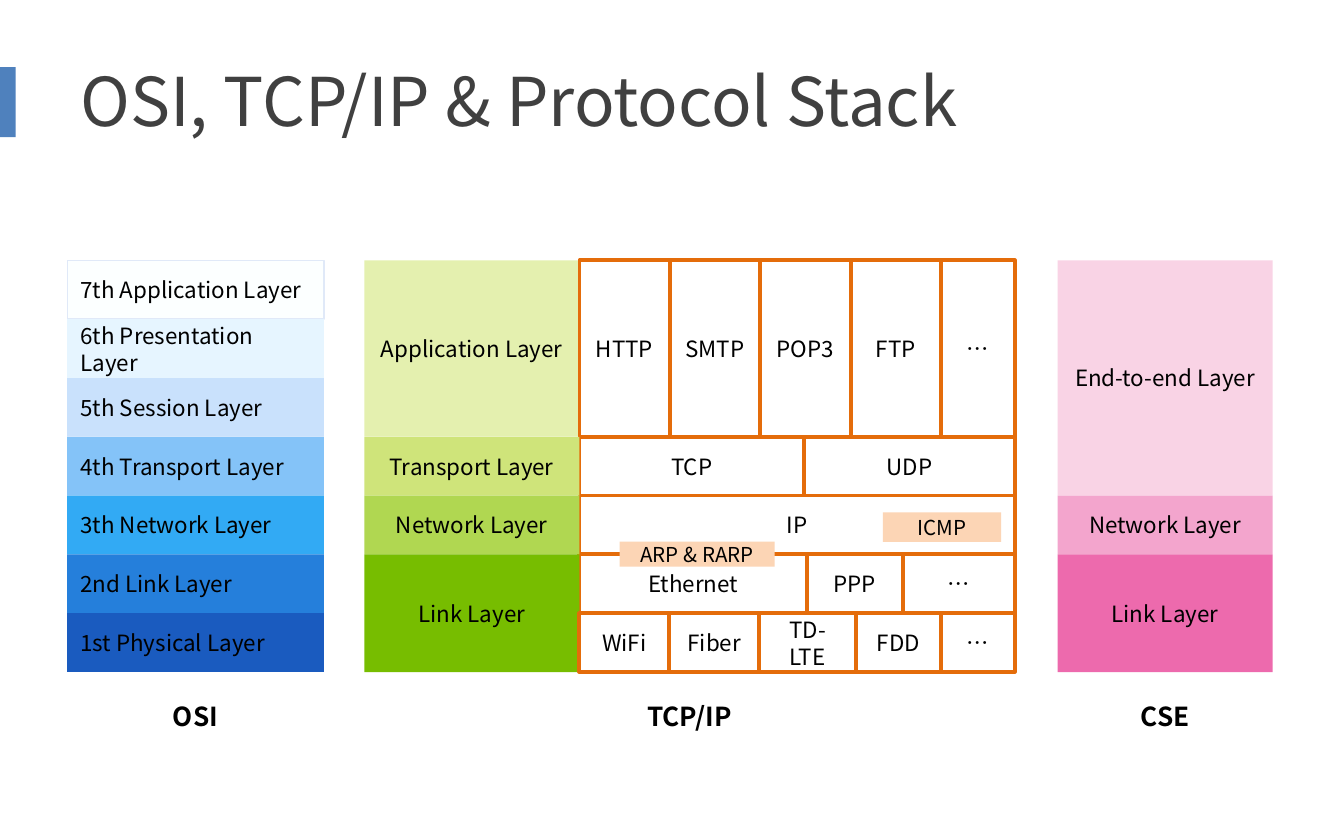
"""Build a slide comparing the OSI, TCP/IP and CSE protocol stacks."""
from dataclasses import dataclass
from itertools import pairwise
from typing import Optional

from pptx import Presentation
from pptx import util as u
from pptx.dml.color import RGBColor
from pptx.enum import shapes, text


@dataclass(frozen=True)
class Theme:
    font: str = "Noto Sans CJK SC"
    ink: str = "000000"
    title_ink: str = "404040"
    accent: str = "4F81BD"
    paper: str = "FFFFFF"
    protocol_line: str = "E46C0A"
    badge: str = "FCD5B5"
    top_layer_line: str = "E0E9F8"
    title_size: float = 36
    caption_size: float = 14
    body_size: float = 12
    badge_size: float = 11


@dataclass(frozen=True)
class Frame:
    left: float
    top: float
    width: float
    height: float


@dataclass(frozen=True)
class Layer:
    label: str
    fill: str
    row: int
    rows: int = 1


@dataclass(frozen=True)
class Column:
    caption: str
    left: float
    width: float


@dataclass(frozen=True)
class ProtocolRow:
    labels: tuple[str, ...]
    edges: tuple[float, ...]
    row: int
    rows: int = 1


THEME = Theme()
LEFT, CENTER = text.PP_ALIGN.LEFT, text.PP_ALIGN.CENTER
STACK_TOP, ROW_HEIGHT = 139.5, 31.5
CAPTION_TOP, CAPTION_HEIGHT = 371.5, 24.2
LAYER_WIDTH = 115.2

OSI = Column("OSI", 36, 137.5)
TCP_IP = Column("TCP/IP", 195.2, 348.4)
CSE = Column("CSE", 566.6, LAYER_WIDTH)
START, END = TCP_IP.left + LAYER_WIDTH, TCP_IP.left + TCP_IP.width

OSI_LAYERS = [
    Layer(label, fill, row)
    for row, (label, fill) in enumerate([
        ("7th Application Layer", "FCFFFF"),
        ("6th Presentation Layer", "E6F5FF"),
        ("5th Session Layer", "C9E1FC"),
        ("4th Transport Layer", "84C3F8"),
        ("3th Network Layer", "32AAF4"),
        ("2nd Link Layer", "257FDB"),
        ("1st Physical Layer", "1A5BBF"),
    ])
]
APPLICATION_LAYER = Layer("Application Layer", "E4F0AF", 0, 3)
LOWER_LAYERS = [
    Layer("Transport Layer", "CFE47A", 3),
    Layer("Network Layer", "B0D751", 4),
    Layer("Link Layer", "77BD00", 5, 2),
]
CSE_LAYERS = [
    Layer("End-to-end Layer", "F9D3E5", 0, 4),
    Layer("Network Layer", "F3A5CD", 4),
    Layer("Link Layer", "ED6AAD", 5, 2),
]
UPPER_PROTOCOLS = [
    ProtocolRow(("HTTP", "SMTP", "POP3", "FTP", "…"),
                (START, 358.8, 407.2, 455.8, 504, END), 0, 3),
    ProtocolRow(("TCP", "UDP"), (START, 430.8, END), 3),
    ProtocolRow(("Ethernet", "PPP", "…"), (START, 432.4, 483.6, END), 5),
    ProtocolRow(("IP",), (START, END), 4),
]
MEDIA = ProtocolRow(("WiFi", "Fiber", "TD-LTE", "FDD", "…"),
                    (START, 358.6, 406.8, 458.6, 504, END), 6)
BADGES = [
    ("ICMP", Frame(473, 274.5, 63.4, 15.8)),
    ("ARP & RARP", Frame(332, 290.2, 83, 13.4)),
]


def rows_frame(left: float, width: float, row: int, rows: int) -> Frame:
    """Return the frame that covers the given rows of the stack."""
    return Frame(left, STACK_TOP + row * ROW_HEIGHT, width, rows * ROW_HEIGHT)


def place(frame: Frame) -> tuple[u.Length, ...]:
    """Convert a frame to lengths."""
    return tuple(u.Pt(n) for n in (frame.left, frame.top, frame.width, frame.height))


def write(box, content: str, size: float, ink: str = THEME.ink,
          align=CENTER, bold: bool = False) -> None:
    """Fill a box with one formatted paragraph."""
    box.text_frame.word_wrap = True
    box.text_frame.vertical_anchor = text.MSO_ANCHOR.MIDDLE
    box.text_frame.text = content
    para = box.text_frame.paragraphs[0]
    para.alignment = align
    for span in para.runs:
        span.font.name = THEME.font
        span.font.size = u.Pt(size)
        span.font.bold = bold
        span.font.color.rgb = RGBColor.from_string(ink)


def draw_block(page, frame: Frame, fill: str, line: Optional[str] = None,
               line_width: float = 0.75):
    """Draw a flat rectangle with an optional outline."""
    box = page.shapes.add_shape(shapes.MSO_SHAPE.RECTANGLE, *place(frame))
    box.shadow.inherit = False
    box.fill.solid()
    box.fill.fore_color.rgb = RGBColor.from_string(fill)
    if line:
        box.line.color.rgb = RGBColor.from_string(line)
        box.line.width = u.Pt(line_width)
    else:
        box.line.fill.background()
    return box


def draw_layer(page, layer: Layer, left: float, width: float = LAYER_WIDTH,
               align=CENTER, line: Optional[str] = None) -> None:
    """Draw one named layer of a stack."""
    box = draw_block(page, rows_frame(left, width, layer.row, layer.rows), layer.fill, line)
    write(box, layer.label, THEME.body_size, align=align)


def draw_protocols(page, group: ProtocolRow) -> None:
    """Draw outlined protocol cells between consecutive edges."""
    for label, (left, right) in zip(group.labels, pairwise(group.edges)):
        frame = rows_frame(left, right - left, group.row, group.rows)
        box = draw_block(page, frame, THEME.paper, THEME.protocol_line, 2)
        write(box, label, THEME.body_size)


def main() -> None:
    """Build and save the deck."""
    deck = Presentation()
    deck.slide_width, deck.slide_height = u.Pt(720), u.Pt(450)
    page = deck.slides.add_slide(deck.slide_layouts[6])

    draw_block(page, Frame(0, 36, 8.4, 37.5), THEME.accent)
    title = page.shapes.add_textbox(*place(Frame(36, 18, 648, 70.6)))
    write(title, "OSI, TCP/IP & Protocol Stack", THEME.title_size, THEME.title_ink, LEFT)

    for layer in OSI_LAYERS:
        line = THEME.top_layer_line if layer.row == 0 else None
        draw_layer(page, layer, OSI.left, OSI.width, LEFT, line)

    draw_layer(page, APPLICATION_LAYER, TCP_IP.left)
    for group in UPPER_PROTOCOLS:
        draw_protocols(page, group)
    for label, frame in BADGES:
        write(draw_block(page, frame, THEME.badge), label, THEME.badge_size)
    for layer in LOWER_LAYERS:
        draw_layer(page, layer, TCP_IP.left)
    draw_protocols(page, MEDIA)

    for layer in CSE_LAYERS:
        draw_layer(page, layer, CSE.left)

    for column in (OSI, TCP_IP, CSE):
        frame = Frame(column.left, CAPTION_TOP, column.width, CAPTION_HEIGHT)
        caption = page.shapes.add_textbox(*place(frame))
        write(caption, column.caption, THEME.caption_size, bold=True)

    deck.save("out.pptx")


if __name__ == "__main__":
    main()
